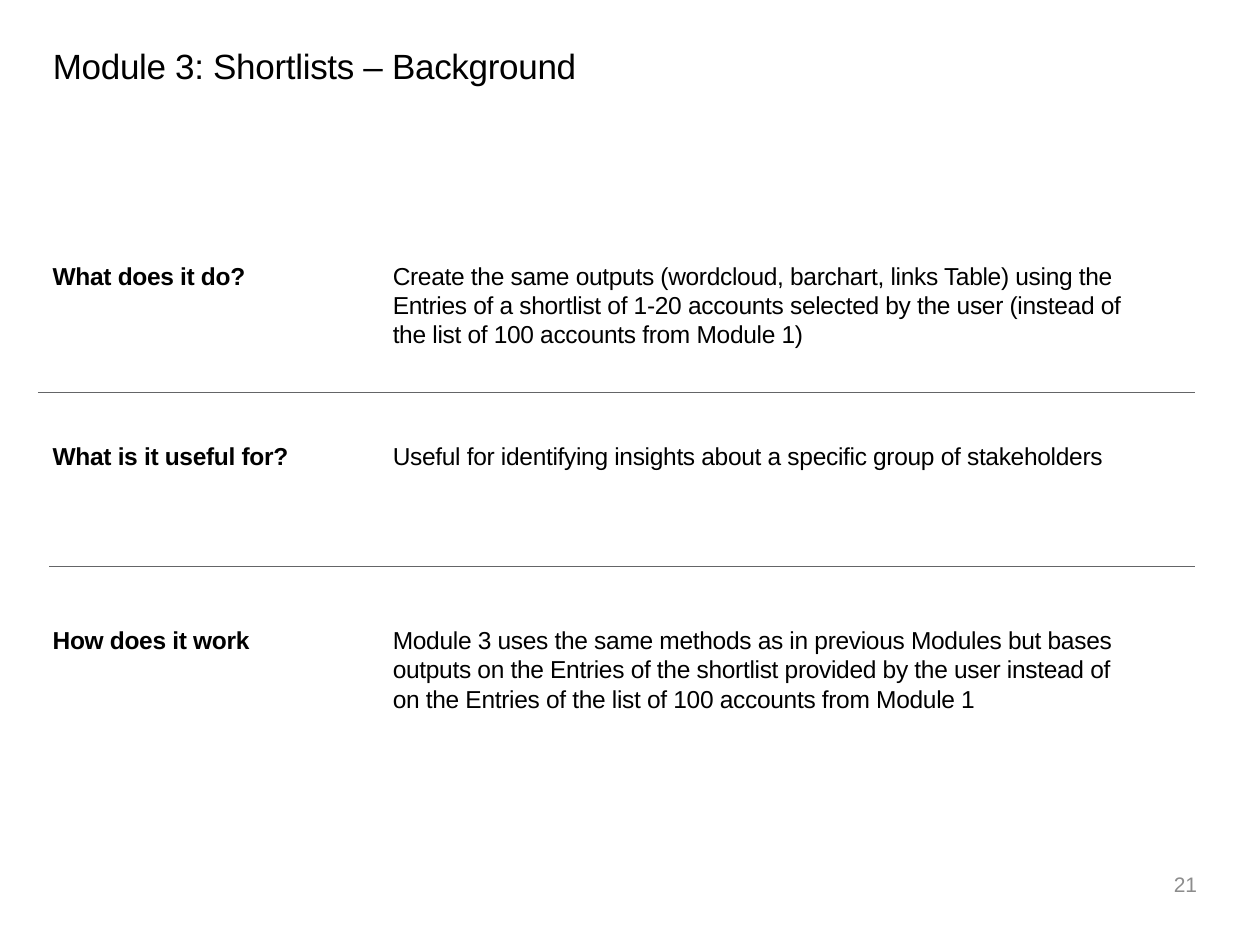
from lxml import etree
from pptx import Presentation
from pptx.dml.color import RGBColor
from pptx.enum.shapes import MSO_CONNECTOR
from pptx.enum.text import MSO_ANCHOR, MSO_AUTO_SIZE, PP_ALIGN
from pptx.oxml.ns import qn
from pptx.util import Pt

STRAIGHT = MSO_CONNECTOR.STRAIGHT
TOP, MIDDLE = MSO_ANCHOR.TOP, MSO_ANCHOR.MIDDLE
LEFT, RIGHT = PP_ALIGN.LEFT, PP_ALIGN.RIGHT
NO_FIT = MSO_AUTO_SIZE.NONE

COLORS = {"text": "000000", "number": "8C8C8C", "rule": "646567"}


def set_text(sp, text, size, color="text", bold=False, spacing=-20,
             align=LEFT, anchor=TOP):
    tf = sp.text_frame
    frame_format = {"word_wrap": True, "auto_size": NO_FIT,
                    "vertical_anchor": anchor}
    for name, value in frame_format.items():
        setattr(tf, name, value)
    p = tf.paragraphs[0]
    p.alignment = align
    r = p.add_run()
    r.text = text
    font_format = {"name": "Arial", "size": Pt(size), "bold": bold}
    for name, value in font_format.items():
        setattr(r.font, name, value)
    r.font.color.rgb = RGBColor.from_string(COLORS[color])
    if spacing:
        r.font._element.set("spc", str(spacing))
    return p


prs = Presentation()
prs.slide_width, prs.slide_height = Pt(720), Pt(540)
s = prs.slides.add_slide(prs.slide_layouts[5])

# Title
title = s.shapes.title
title.left, title.top, title.width, title.height = Pt(23), Pt(19.4), Pt(608.4), Pt(35.3)
p = set_text(title, "Module 3: Shortlists – Background", 20)
p.line_spacing = 1.1

# Slide number
sp = s.shapes.add_textbox(Pt(523.4), Pt(491), Pt(167.8), Pt(28.8))
set_text(sp, "21", 12, "number", spacing=0, align=RIGHT, anchor=MIDDLE)

# Questions on the left, answers on the right
rows = [
    (145.4, "What does it do?",
     "Create the same outputs (wordcloud, barchart, links Table) using the "
     "Entries of a shortlist of 1-20 accounts selected by the user (instead of "
     "the list of 100 accounts from Module 1)"),
    (248.4, "What is it useful for?",
     "Useful for identifying insights about a specific group of stakeholders"),
    (353.5, "How does it work",
     "Module 3 uses the same methods as in previous Modules but bases outputs "
     "on the Entries of the shortlist provided by the user instead of on the "
     "Entries of the list of 100 accounts from Module 1"),
]
for top, question, answer in rows:
    for left, width, text, bold in ((23, 162, question, True),
                                    (217.4, 440, answer, False)):
        sp = s.shapes.add_textbox(Pt(left), Pt(top), Pt(width), Pt(68.4))
        set_text(sp, text, 14, bold=bold)

# Rules between the rows
for left, y in ((28.1, 223.9), (28.1, 323.3), (21.6, 223.9)):
    rule = s.shapes.add_connector(STRAIGHT, Pt(left), Pt(y), Pt(left + 654.5), Pt(y))
    rule.line.color.rgb = RGBColor.from_string(COLORS["rule"])
    rule.line.width = Pt(0.02)
    etree.SubElement(rule._element.spPr, qn("a:effectLst"))

prs.save("out.pptx")
